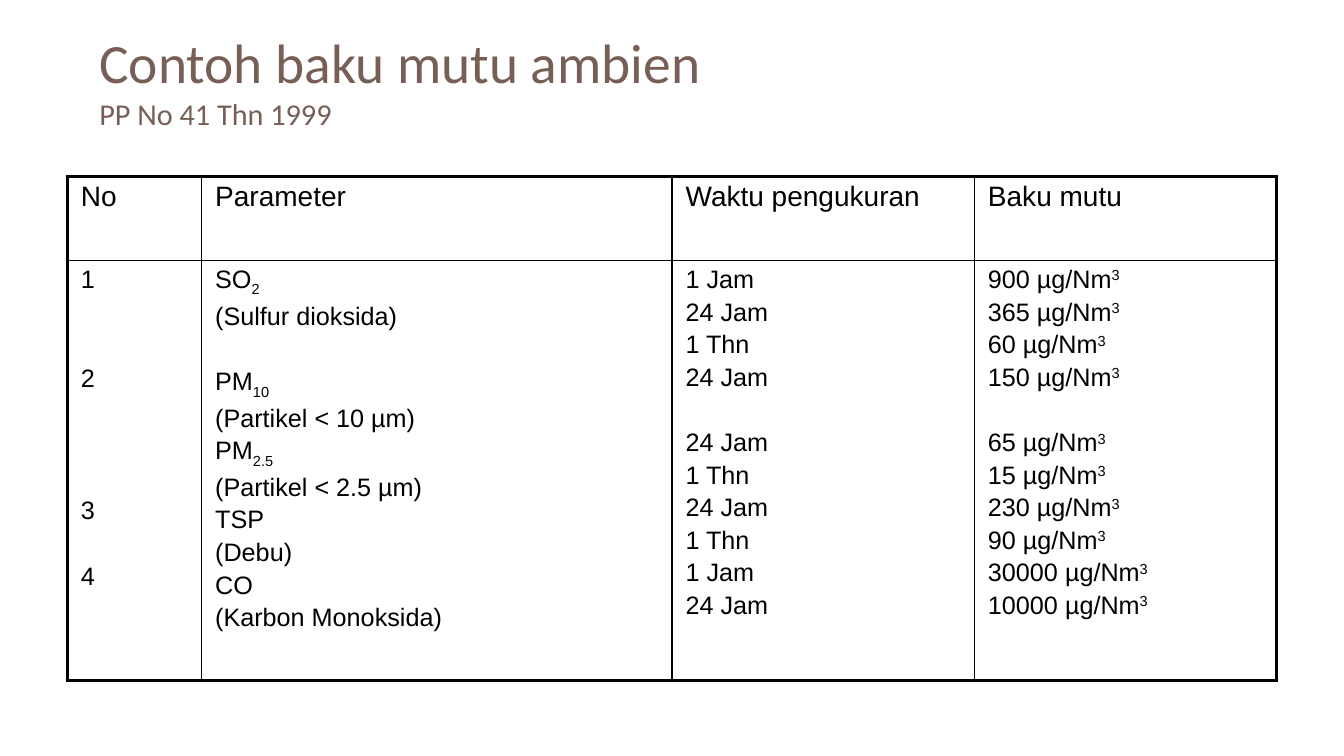
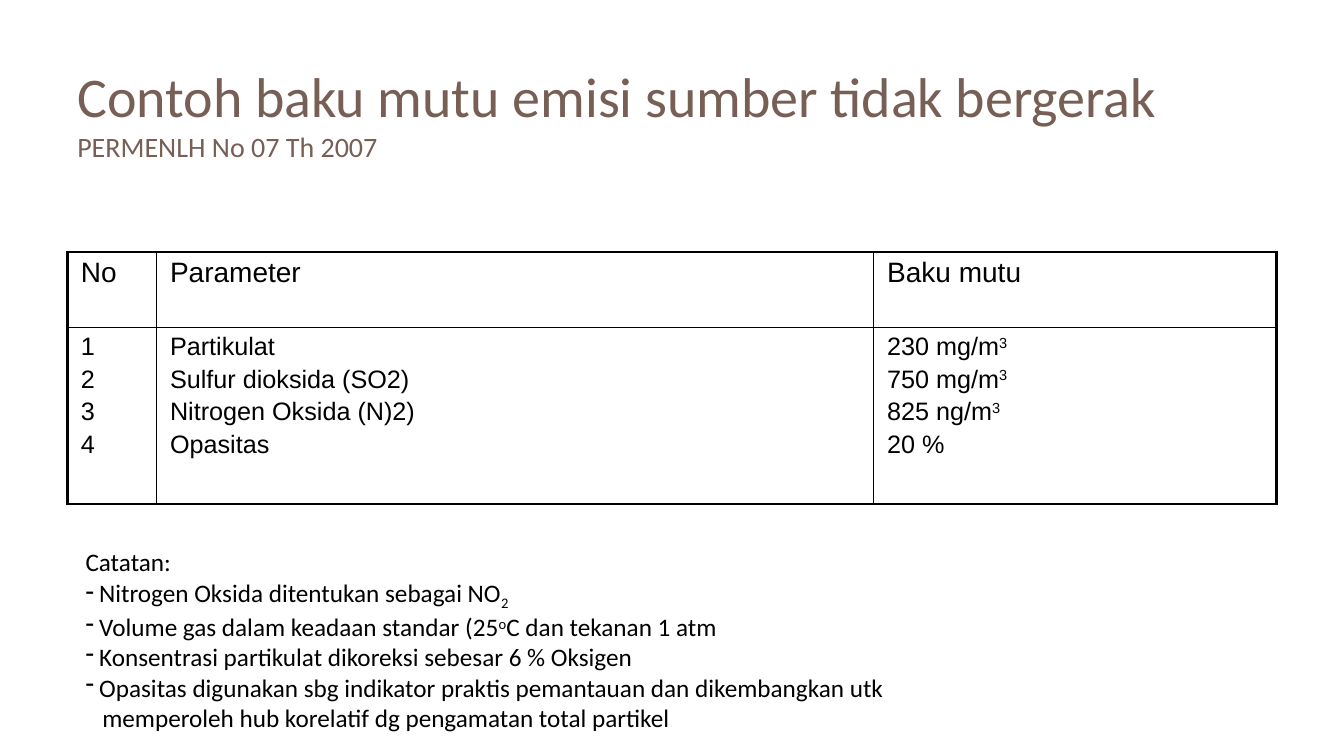
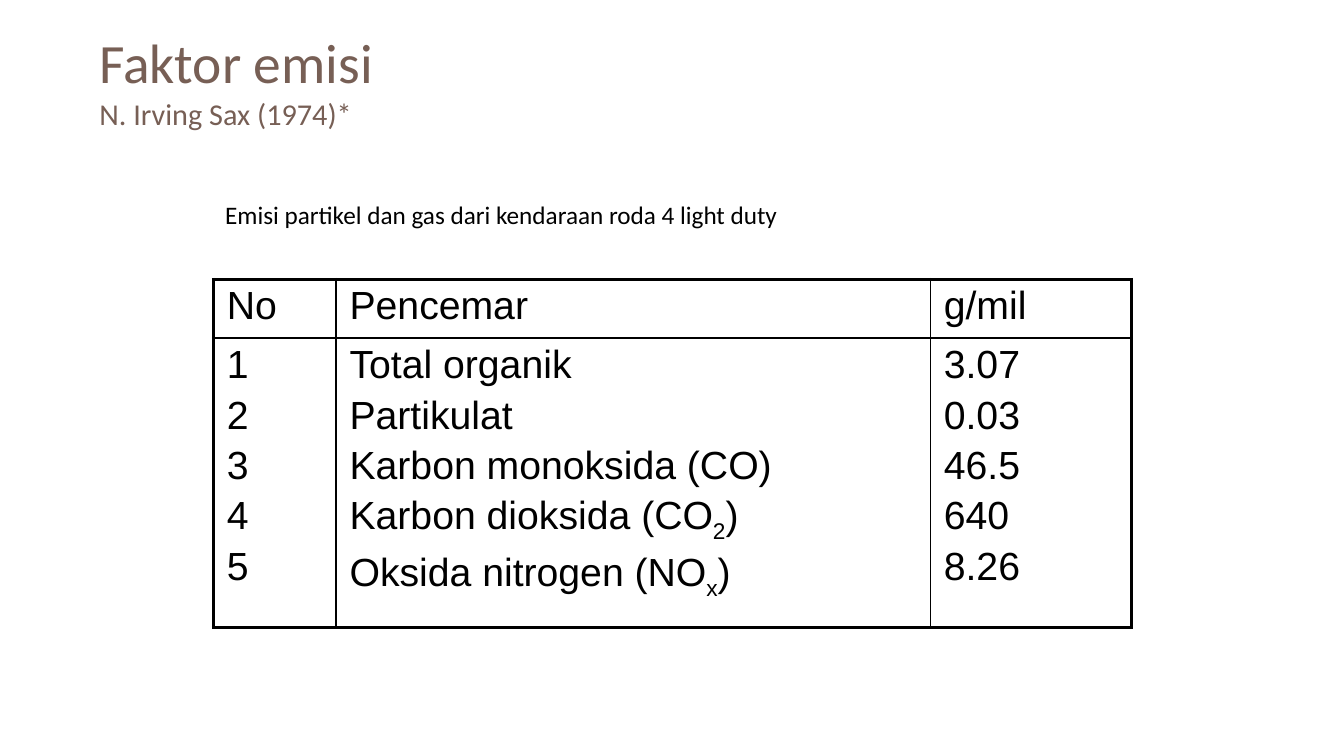
from lxml import etree
from pptx import Presentation
from pptx import util as u
from pptx.dml import color
from pptx.enum import text
from pptx.oxml import ns

# Shared look
BROWN, BLACK = "775F55", "000000"
TITLE_FONT, TABLE_FONT = "Calibri", "Arial"
TITLE_ONLY = 5
OUTER_LINE, INNER_LINE = 2.25, 1
SPACE_RATIO, BLANK_RATIO = 0.17, 1.32  # of the font size
BASELINES = {"_": "-25000", "^": "30000"}


def px(n):
    return u.Emu(n * 9525)


def rgb(hex_string):
    return color.RGBColor.from_string(hex_string)


def style(paragraph, font_name, size, hex_color):
    font = paragraph.font
    font.name, font.size = font_name, u.Pt(size)
    font.color.rgb = rgb(hex_color)


def write_runs(paragraph, line):
    """Split a line at |; a part led by _ is lowered, one led by ^ is raised."""
    for part in line.split("|"):
        baseline = BASELINES.get(part[:1])
        run = paragraph.add_run()
        run.text = part[1:] if baseline else part
        if baseline:
            run._r.get_or_add_rPr().set("baseline", baseline)


def next_paragraph(frame, index):
    return frame.add_paragraph() if index else frame.paragraphs[0]


def add_slide(prs, heading, subheading, box, sizes):
    slide = prs.slides.add_slide(prs.slide_layouts[TITLE_ONLY])
    title = slide.shapes.title
    title.left, title.top, title.width, title.height = map(px, box)
    frame = title.text_frame
    frame.auto_size = text.MSO_AUTO_SIZE.NONE
    frame.vertical_anchor = text.MSO_ANCHOR.MIDDLE
    paragraph = frame.paragraphs[0]
    paragraph.alignment = text.PP_ALIGN.LEFT
    paragraph.add_run().text = heading
    paragraph.add_line_break()
    source = paragraph.add_run()
    source.text = subheading
    source.font.size = u.Pt(sizes[1])
    style(paragraph, TITLE_FONT, sizes[0], BROWN)
    return slide


def set_borders(cell, widths):
    properties = cell._tc.get_or_add_tcPr()
    for side, width in zip("LRTB", widths):
        line = etree.SubElement(properties, ns.qn(f"a:ln{side}"), w=str(u.Pt(width)))
        fill = etree.SubElement(line, ns.qn("a:solidFill"))
        etree.SubElement(fill, ns.qn("a:srgbClr"), val=BLACK)


def fill_cell(cell, lines, size):
    """Write one paragraph a line; an empty line widens the next gap."""
    cell.margin_left = cell.margin_right = px(13)
    cell.margin_top = cell.margin_bottom = px(5)
    blanks = written = 0
    for line in lines:
        if not line:
            blanks += 1
            continue
        paragraph = next_paragraph(cell.text_frame, written)
        write_runs(paragraph, line)
        if written:
            gap = size * (SPACE_RATIO + blanks * BLANK_RATIO)
            paragraph.space_before = u.Pt(round(gap, 1))
        style(paragraph, TABLE_FONT, size, BLACK)
        written += 1
        blanks = 0


def add_grid(slide, left, top, widths, heights, headers, columns, sizes):
    rows = [[[header] for header in headers], columns]
    table = slide.shapes.add_table(len(rows), len(widths), px(left), px(top),
                                   px(sum(widths)), px(sum(heights))).table
    table.first_row = table.horz_banding = False
    for column, width in zip(table.columns, widths):
        column.width = px(width)
    last_row, last_column = len(rows) - 1, len(widths) - 1
    for r, row in enumerate(rows):
        table.rows[r].height = px(heights[r])
        for c, lines in enumerate(row):
            cell = table.cell(r, c)
            on_edge = (c == 0, c == last_column, r == 0, r == last_row)
            set_borders(cell, [OUTER_LINE if edge else INNER_LINE for edge in on_edge])
            cell.fill.background()
            fill_cell(cell, lines, sizes[r])


def add_note(slide, box, lines):
    """Lines are (text, bullet or None, left margin in px)."""
    frame = slide.shapes.add_textbox(*map(px, box)).text_frame
    frame.word_wrap = False
    frame.auto_size = text.MSO_AUTO_SIZE.SHAPE_TO_FIT_TEXT
    for i, (line, bullet, margin) in enumerate(lines):
        paragraph = next_paragraph(frame, i)
        write_runs(paragraph, line)
        properties = paragraph._p.get_or_add_pPr()
        properties.set("marL", str(px(margin)))
        properties.set("indent", str(px(-margin if bullet else 0)))
        if bullet:
            etree.SubElement(properties, ns.qn("a:buChar"), char=bullet)
        style(paragraph, TITLE_FONT, 18, BLACK)


def ambient_standards(prs):
    slide = add_slide(prs, "Contoh baku mutu ambien", "PP No 41 Thn 1999",
                      (85, 24, 1141, 104), (39.6, 21.6))
    numbers = ["1", "", "", "2", "", "", "", "3", "", "4"]
    pollutants = ["SO|_2", "(Sulfur dioksida)", "", "PM|_10", "(Partikel < 10 µm)",
                  "PM|_2.5", "(Partikel < 2.5 µm)", "TSP", "(Debu)", "CO",
                  "(Karbon Monoksida)"]
    times = ["1 Jam", "24 Jam", "1 Thn", "24 Jam", "", "24 Jam", "1 Thn",
             "24 Jam", "1 Thn", "1 Jam", "24 Jam"]
    values = [900, 365, 60, 150, None, 65, 15, 230, 90, 30000, 10000]
    limits = [f"{value} µg/Nm|^3" if value else "" for value in values]
    add_grid(slide, 64, 168, (128, 448, 288, 288), (80, 400),
             ("No", "Parameter", "Waktu pengukuran", "Baku mutu"),
             (numbers, pollutants, times, limits), (20, 18))


def stationary_standards(prs):
    slide = add_slide(prs, "Contoh baku mutu emisi sumber tidak bergerak",
                      "PERMENLH No 07 Th 2007", (64, 29, 1152, 156), (40, 20))
    add_grid(slide, 64, 240, (85, 683, 384), (72, 168),
             ("No", "Parameter", "Baku mutu"),
             ("1234",
              ("Partikulat", "Sulfur dioksida (SO2)", "Nitrogen Oksida (N)2)", "Opasitas"),
              ("230 mg/m|^3", "750 mg/m|^3", "825 ng/m|^3", "20 %")), (20, 18))
    remarks = ("Nitrogen Oksida ditentukan sebagai NO|_2",
               "Volume gas dalam keadaan standar (25|^o|C dan tekanan 1 atm",
               "Konsentrasi partikulat dikoreksi sebesar 6 % Oksigen",
               "Opasitas digunakan sbg indikator praktis pemantauan dan dikembangkan utk")
    add_note(slide, (72, 516, 787, 184),
             [("Catatan:", None, 0)]
             + [(remark, "-", 13) for remark in remarks]
             + [("memperoleh hub korelatif dg pengamatan total partikel", None, 16)])


def emission_factors(prs):
    slide = add_slide(prs, "Faktor emisi", "N. Irving Sax (1974)*",
                      (85, 24, 1141, 104), (39.6, 21.6))
    add_note(slide, (205, 185, 560, 38),
             [("Emisi partikel dan gas dari kendaraan roda 4 light duty", None, 0)])
    add_grid(slide, 203, 266, (117, 566, 192), (56, 276),
             ("No", "Pencemar", "g/mil"),
             ("12345",
              ("Total organik", "Partikulat", "Karbon monoksida (CO)",
               "Karbon dioksida (CO|_2|)", "Oksida nitrogen (NO|_x|)"),
              ("3.07", "0.03", "46.5", "640", "8.26")), (28, 28))


def main():
    prs = Presentation()
    prs.slide_width, prs.slide_height = px(1280), px(720)
    ambient_standards(prs)
    stationary_standards(prs)
    emission_factors(prs)
    prs.save("out.pptx")


if __name__ == "__main__":
    main()
